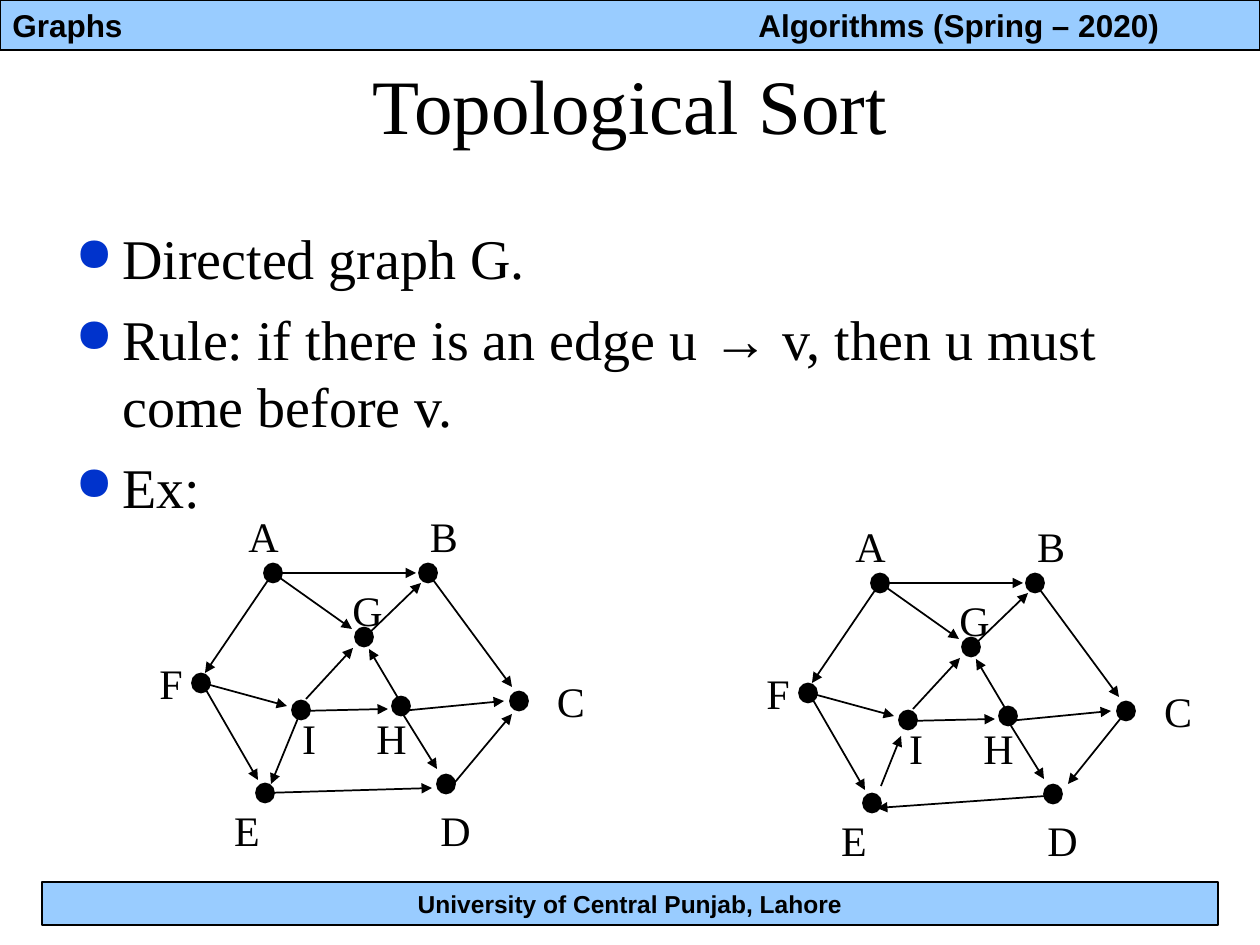
from lxml import etree
from pptx import Presentation
from pptx import util as u
from pptx.dml.color import RGBColor
from pptx.enum import shapes, text
from pptx.oxml.ns import qn

PX = 914400 / 126
COLORS = {"ink": "000000", "band": "99CCFF", "bullet": "0033CC"}
SERIF, SANS = "Times New Roman", "Arial"
LEFT, CENTER = text.PP_ALIGN.LEFT, text.PP_ALIGN.CENTER
TOP, MIDDLE = text.MSO_ANCHOR.TOP, text.MSO_ANCHOR.MIDDLE
DOT = (18, 19)

# All graph positions are relative to the graph's box.
NODES = {"A": (126, 69), "B": (281, 69), "C": (372, 197), "D": (299, 280),
         "E": (118, 289), "F": (54, 179), "G": (217, 133), "H": (254, 202),
         "I": (154, 206)}
# Horizontal centre and top of each letter
LABELS = {"A": (116, 0), "B": (297, 0), "C": (424, 165), "D": (308, 294),
          "E": (100, 294), "F": (24, 147), "G": (220, 74), "H": (244, 202),
          "I": (162, 202)}
SHARED_EDGES = {
    "AB": (126, 69, 269, 69), "BC": (281, 69, 365, 183),
    "AF": (126, 69, 58, 169), "FE": (55, 179, 111, 276),
    "AG": (126, 69, 205, 125), "GB": (217, 134, 274, 79),
    "IG": (159, 195, 206, 144), "IH": (154, 207, 241, 205),
    "HG": (254, 199, 222, 145), "FI": (63, 181, 140, 202),
    "HD": (254, 207, 290, 265), "HC": (254, 207, 357, 197)}
ACYCLIC = SHARED_EDGES | {
    "ED": (118, 289, 285, 284), "DC": (299, 289, 365, 210),
    "IE": (154, 207, 124, 280)}
CYCLIC = SHARED_EDGES | {
    "DE": (292, 282, 123, 294), "CD": (371, 199, 314, 270),
    "EI": (127, 272, 147, 222)}


def px(*lengths):
    return [u.Emu(round(n * PX)) for n in lengths]


def rgb(name):
    return RGBColor.from_string(COLORS[name])


def write(p, words, size, font=SERIF, bold=False, align=LEFT):
    """Add one run to a paragraph."""
    p.alignment = align
    r = p.add_run()
    r.text = words
    r.font.size, r.font.name, r.font.bold = u.Pt(size), font, bold
    r.font.color.rgb = rgb("ink")


def set_frame(sp, anchor=TOP, wrap=True):
    tf = sp.text_frame
    tf.word_wrap, tf.vertical_anchor = wrap, anchor
    return tf


def add_solid(parent, kind, box, fill, line_width):
    sp = parent.add_shape(kind, *px(*box))
    sp.shadow.inherit = False
    sp.fill.solid()
    sp.fill.fore_color.rgb = rgb(fill)
    sp.line.color.rgb = rgb("ink")
    sp.line.width = u.Pt(line_width)
    return sp


def add_band(slide, box, words, size, align):
    sp = add_solid(slide.shapes, shapes.MSO_SHAPE.RECTANGLE, box, "band", 0.75)
    p = set_frame(sp, MIDDLE).paragraphs[0]
    write(p, words, size, SANS, True, align)


def add_header(slide, box):
    x, y, w, h = box
    add_band(slide, box, "Graphs", 18, LEFT)
    sp = slide.shapes.add_textbox(*px(x + 746, y, 504, h))
    p = set_frame(sp, MIDDLE).paragraphs[0]
    write(p, "Algorithms (Spring – 2020)", 18, SANS, True)


def add_title(slide, box):
    sp = slide.shapes.title
    sp.left, sp.top, sp.width, sp.height = px(*box)
    p = set_frame(sp, MIDDLE).paragraphs[0]
    write(p, "Topological Sort", 44, align=CENTER)


def add_bullet(p, indent):
    pPr = p._p.get_or_add_pPr()
    pPr.set("marL", str(indent))
    pPr.set("indent", str(-indent))
    color = etree.SubElement(pPr, qn("a:buClr"))
    etree.SubElement(color, qn("a:srgbClr")).set("val", COLORS["bullet"])
    etree.SubElement(pPr, qn("a:buSzPct")).set("val", "85000")
    etree.SubElement(pPr, qn("a:buChar")).set("char", "●")


def add_rules(slide, box):
    tf = set_frame(slide.shapes.add_textbox(*px(*box)))
    items = [
        [("Directed graph G.", SERIF)],
        [("Rule: if there is an edge u ", SERIF), ("→", SANS),
         (" v, then u must come before v.", SERIF)],
        [("Ex:", SERIF)]]
    for i, runs in enumerate(items):
        p = tf.add_paragraph() if i else tf.paragraphs[0]
        add_bullet(p, px(47)[0])
        if i:
            p.space_before = u.Pt(8)
        for words, font in runs:
            write(p, words, 32, font)


def add_arrow(parent, x1, y1, x2, y2):
    line = parent.add_connector(shapes.MSO_CONNECTOR.STRAIGHT,
                                *px(x1, y1, x2, y2))
    line.line.color.rgb = rgb("ink")
    line.line.width = u.Pt(1)
    ln = line.line._get_or_add_ln()
    etree.SubElement(ln, qn("a:tailEnd")).set("type", "triangle")
    etree.SubElement(line._element.spPr, qn("a:effectLst"))


def add_graph(slide, x, y, edges):
    parent = slide.shapes.add_group_shape().shapes
    w, h = DOT
    for cx, cy in NODES.values():
        add_solid(parent, shapes.MSO_SHAPE.OVAL,
                  (x + cx - w / 2, y + cy - h / 2, w, h), "ink", 1)
    for x1, y1, x2, y2 in edges.values():
        add_arrow(parent, x + x1, y + y1, x + x2, y + y2)
    for letter, (cx, top) in LABELS.items():
        sp = parent.add_textbox(*px(x + cx - 27, y + top, 54, 63))
        p = set_frame(sp, wrap=False).paragraphs[0]
        write(p, letter, 24, align=CENTER)


def main():
    prs = Presentation()
    prs.slide_width, prs.slide_height = px(1260, 945)
    slide = prs.slides.add_slide(prs.slide_layouts.get_by_name("Title Only"))
    add_header(slide, (0, 0, 1260, 50))
    add_band(slide, (42, 882, 1176, 43),
             "University of Central Punjab, Lahore", 14, CENTER)
    add_title(slide, (63, 36, 1134, 136))
    add_rules(slide, (63, 217, 1134, 592))
    add_graph(slide, 147, 504, ACYCLIC)
    add_graph(slide, 754, 514, CYCLIC)
    prs.save("out.pptx")


if __name__ == "__main__":
    main()
